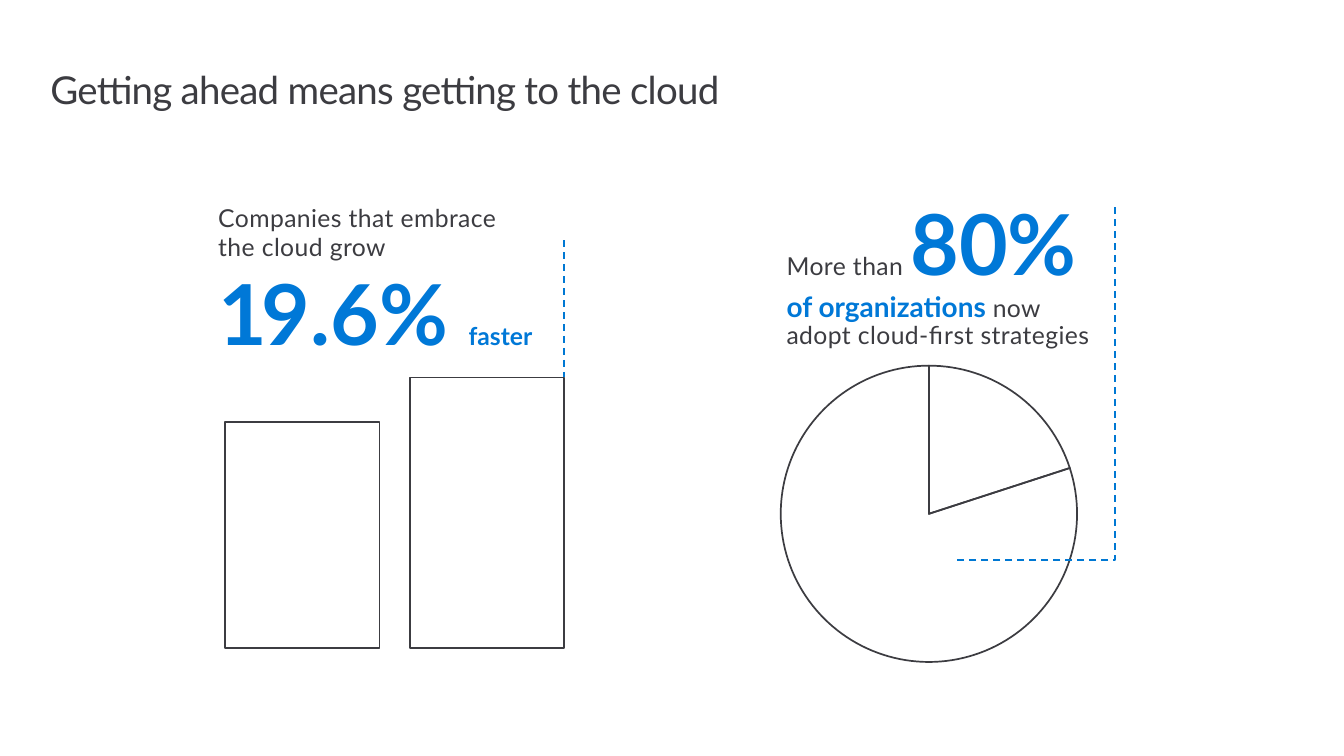
"""Build a slide on cloud growth with a bar comparison and a pie chart."""
from lxml import etree
from pptx import Presentation
from pptx.chart.data import CategoryChartData
from pptx.dml.color import RGBColor
from pptx.enum.chart import XL_CHART_TYPE
from pptx.enum.dml import MSO_LINE
from pptx.enum.shapes import MSO_CONNECTOR, MSO_SHAPE
from pptx.oxml import parse_xml
from pptx.oxml.ns import nsdecls, qn
from pptx.util import Inches, Pt

PIE, DASH = XL_CHART_TYPE.PIE, MSO_LINE.DASH
STRAIGHT, RECTANGLE = MSO_CONNECTOR.STRAIGHT, MSO_SHAPE.RECTANGLE

THEME = {
    "font": "Lato",
    "ink": RGBColor.from_string("3C3C41"),
    "accent": RGBColor.from_string("0078D7"),
    "guide": RGBColor.from_string("0078D3"),
    "paper": RGBColor.from_string("FFFFFF"),
    "line": 1.25,
    "chart_size": 10,
}
STYLES = {
    "title": {"size": 28, "color": "ink", "bold": False, "spacing": -0.5},
    "body": {"size": 18, "color": "ink", "bold": False, "spacing": 0.3},
    "figure": {"size": 61.2, "color": "accent", "bold": True, "spacing": 0},
    "tight": {"size": 61.2, "color": "accent", "bold": True, "spacing": -3.6},
    "strong": {"size": 20.4, "color": "accent", "bold": True, "spacing": 0},
    "label": {"size": 18, "color": "accent", "bold": True, "spacing": 0},
}

TITLE = [[("Getting ahead means getting to the cloud", "title")]]
GROWTH = [
    [("Companies that embrace", "body")],
    [("the cloud grow", "body")],
    [("19", "tight"), (".6% ", "figure"), ("faster", "label")],
]
ADOPTION = [
    [("More than ", "body"), ("80%", "figure")],
    [("of organizations ", "strong"), ("now", "body")],
    [("adopt cloud-first strategies", "body")],
]
SHARES = {"1": 80, "2": 20}
BAR_HEIGHTS = [2.29, 2.74]
BAR_LEFT, BAR_WIDTH, BAR_GAP, BASELINE = 2.28, 1.56, 0.31, 6.56
GROWTH_GUIDE_TOP = 2.43
ADOPTION_GUIDE = [(11.28, 2.1), (11.28, 5.67), (9.64, 5.67)]
PIE_BOX = (7.77, 3.57, 3.26, 3.26)
PIE_START, PIE_FILL = 72, 0.92


def add_text(slide, box, margins, lines):
    frame = slide.shapes.add_textbox(*map(Inches, box)).text_frame
    frame.word_wrap = True
    (frame.margin_left, frame.margin_top,
     frame.margin_right, frame.margin_bottom) = map(Inches, margins)
    paragraph = frame.paragraphs[0]
    for number, line in enumerate(lines):
        if number:
            paragraph.add_line_break()
        for words, style_name in line:
            style = STYLES[style_name]
            run = paragraph.add_run()
            run.text = words
            run.font.name = THEME["font"]
            run.font.size = Pt(style["size"])
            run.font.bold = style["bold"]
            run.font.color.rgb = THEME[style["color"]]
            run._r.get_or_add_rPr().set("spc", str(round(style["spacing"] * 100)))
    return paragraph


def style_line(line, color, dashed=False):
    line.color.rgb = THEME[color]
    line.width = Pt(THEME["line"])
    if dashed:
        line.dash_style = DASH


def add_bars(slide):
    for index, height in enumerate(BAR_HEIGHTS):
        left = BAR_LEFT + index * (BAR_WIDTH + BAR_GAP)
        top = BASELINE - height
        bar = slide.shapes.add_shape(
            RECTANGLE, *map(Inches, (left, top, BAR_WIDTH, height)))
        bar.shadow.inherit = False
        bar.fill.solid()
        bar.fill.fore_color.rgb = THEME["paper"]
        style_line(bar.line, "ink")
    right = left + BAR_WIDTH
    guide = slide.shapes.add_connector(
        STRAIGHT, *map(Inches, (right, GROWTH_GUIDE_TOP, right, top)))
    style_line(guide.line, "guide", dashed=True)
    etree.SubElement(guide._element.spPr, qn("a:effectLst"))


def add_pie(slide):
    data = CategoryChartData()
    data.categories = list(SHARES)
    data.add_series("Series 1", list(SHARES.values()))
    chart = slide.shapes.add_chart(PIE, *map(Inches, PIE_BOX), data).chart
    chart.has_title = chart.has_legend = False
    chart.font.name = THEME["font"]
    chart.font.size = Pt(THEME["chart_size"])
    chart.font.color.rgb = THEME["ink"]
    plot = chart.plots[0]
    plot.vary_by_categories = False
    adopted, remaining = [plot.series[0].points[i].format for i in range(len(SHARES))]
    adopted.fill.solid()
    adopted.fill.fore_color.rgb = THEME["paper"]
    remaining.fill.background()
    for slice_format in (adopted, remaining):
        style_line(slice_format.line, "ink")

    pie = plot._element
    for old_angle in pie.findall(qn("c:firstSliceAng")):
        pie.remove(old_angle)
    etree.SubElement(pie, qn("c:firstSliceAng")).set("val", str(PIE_START))
    area = pie.getparent()
    for old_layout in area.findall(qn("c:layout")):
        area.remove(old_layout)
    inset = round((1 - PIE_FILL) / 2, 2)
    settings = [("layoutTarget", "inner"), ("xMode", "edge"), ("yMode", "edge"),
                ("x", inset), ("y", inset), ("w", PIE_FILL), ("h", PIE_FILL)]
    entries = "".join(f'<c:{tag} val="{value}"/>' for tag, value in settings)
    area.insert(0, parse_xml(
        f'<c:layout {nsdecls("c")}><c:manualLayout>{entries}</c:manualLayout></c:layout>'))


def add_adoption_guide(slide):
    corners = [tuple(map(Inches, point)) for point in ADOPTION_GUIDE]
    builder = slide.shapes.build_freeform(*corners[0])
    builder.add_line_segments(corners[1:], close=False)
    guide = builder.convert_to_shape()
    guide.shadow.inherit = False
    guide.fill.background()
    style_line(guide.line, "guide", dashed=True)


def main():
    deck = Presentation()
    deck.slide_width, deck.slide_height = Inches(13.6), Inches(7.65)
    slide = deck.slides.add_slide(deck.slide_layouts[6])
    title = add_text(slide, (0.51, 0.69, 12.61, 0.45), (0, 0, 0, 0), TITLE)
    title.line_spacing = Pt(32)
    add_pie(slide)
    add_text(slide, (2.11, 2, 4.08, 1.74), (0.1, 0.05, 0.15, 0.05), GROWTH)
    add_bars(slide)
    add_adoption_guide(slide)
    adoption = add_text(slide, (7.81, 2, 3.66, 1.61), (0.15, 0.05, 0.1, 0.05), ADOPTION)
    adoption.line_spacing = 0.9
    deck.save("out.pptx")


if __name__ == "__main__":
    main()
